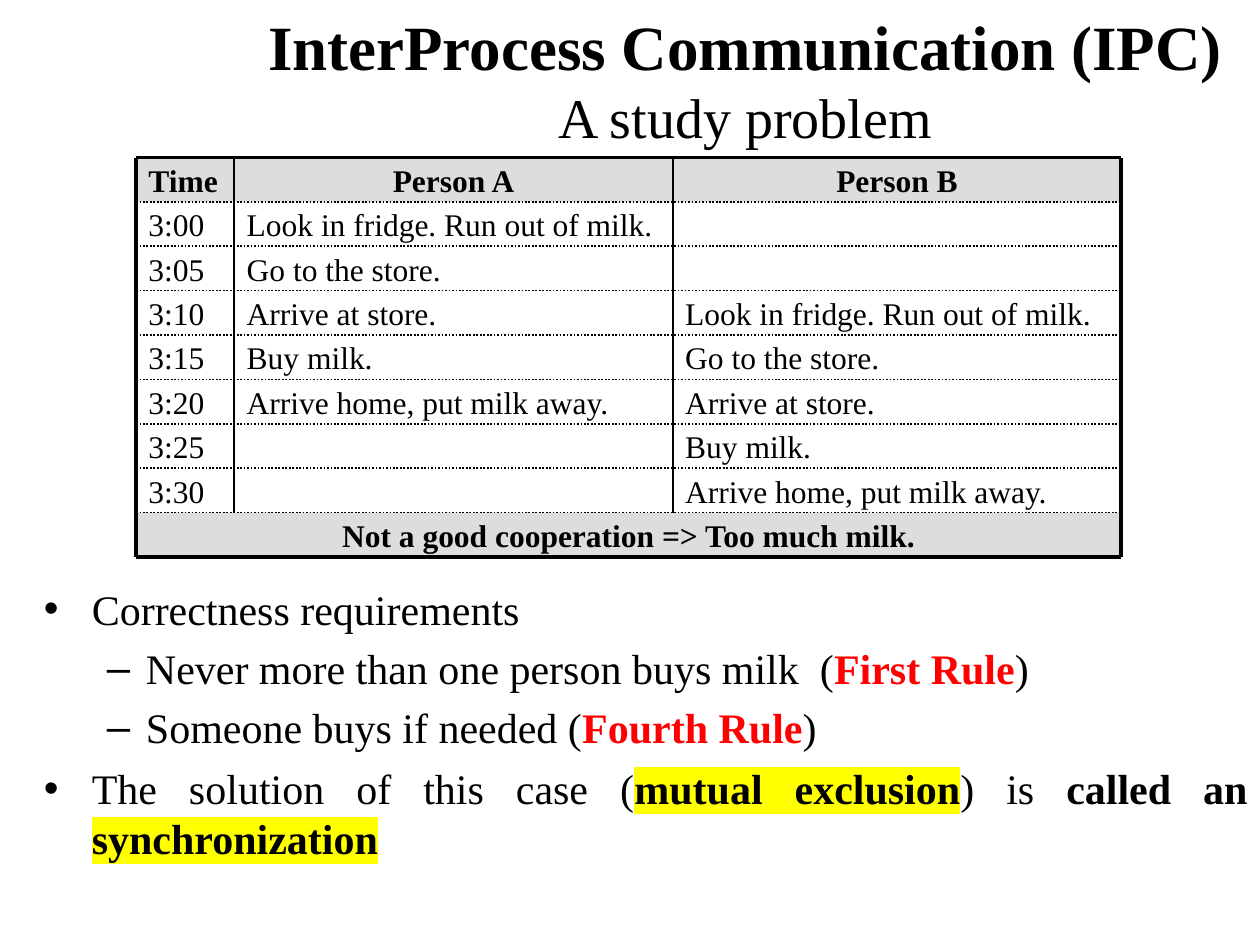
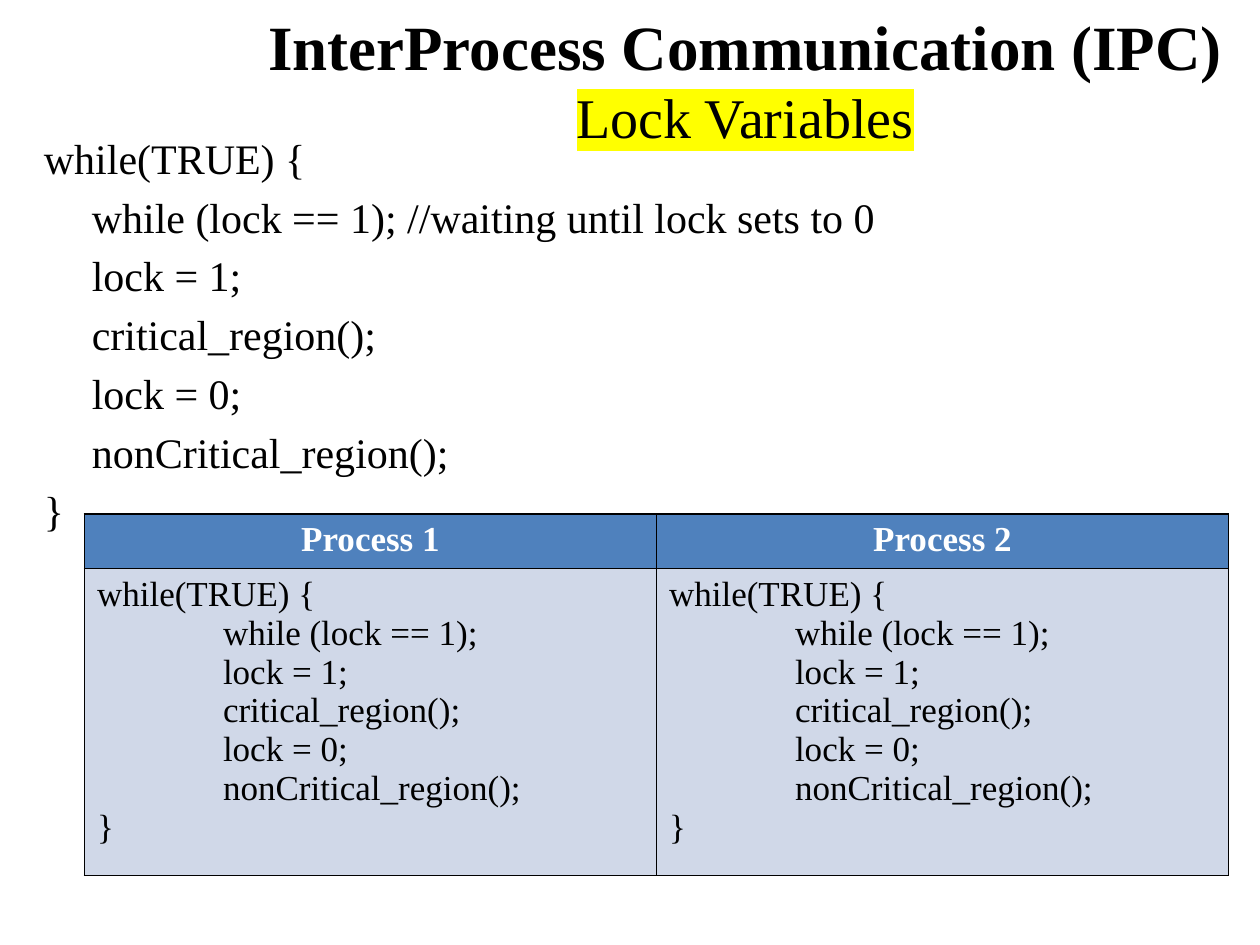
from dataclasses import dataclass
from typing import Optional

import lxml.etree
import pptx
import pptx.dml.color
import pptx.enum.dml
import pptx.enum.shapes
import pptx.enum.text
import pptx.oxml.ns
import pptx.util

Inches = pptx.util.Inches
Pt = pptx.util.Pt
RGBColor = pptx.dml.color.RGBColor
ALIGN = pptx.enum.text.PP_ALIGN
ANCHOR = pptx.enum.text.MSO_ANCHOR
DASH = pptx.enum.dml.MSO_LINE
qn = pptx.oxml.ns.qn

# Shared look
FONT = "Times New Roman"
BLACK = RGBColor(0x00, 0x00, 0x00)
WHITE = RGBColor(0xFF, 0xFF, 0xFF)
RED = RGBColor(0xFF, 0x00, 0x00)
YELLOW = RGBColor(0xFF, 0xFF, 0x00)
GREY = RGBColor(0xDD, 0xDD, 0xDD)
BLUE = RGBColor(0x4F, 0x81, 0xBD)
PALE_BLUE = RGBColor(0xD0, 0xD8, 0xE8)
COURSE_TITLE = "InterProcess Communication (IPC)"


@dataclass(frozen=True)
class Run:
    text: str
    size: float = 24
    bold: bool = False
    color: RGBColor = BLACK
    highlight: Optional[RGBColor] = None
    ends_line: bool = False


@dataclass(frozen=True)
class Paragraph:
    runs: tuple[Run, ...]
    align: ALIGN = ALIGN.LEFT
    left: float = 0
    hanging: float = 0
    space_before: float = 0
    bullet: str = ""


@dataclass(frozen=True)
class Entry:
    text: str
    left: float
    top: float
    width: float
    height: float
    heading: bool = False
    align: ALIGN = ALIGN.LEFT


@dataclass(frozen=True)
class Rule:
    start: tuple[float, float]
    end: tuple[float, float]
    width: float = 1
    dash: DASH = DASH.SOLID


# Text
def add_run(paragraph, run: Run) -> None:
    piece = paragraph.add_run()
    piece.text = run.text
    piece.font.color.rgb = run.color
    formats = {"name": FONT, "size": Pt(run.size), "bold": run.bold}
    for name, value in formats.items():
        setattr(piece.font, name, value)
    if run.highlight is not None:
        highlight = lxml.etree.Element(qn("a:highlight"))
        lxml.etree.SubElement(highlight, qn("a:srgbClr"), val=str(run.highlight))
        piece.font._element.find(qn("a:solidFill")).addnext(highlight)
    if run.ends_line:
        paragraph.add_line_break()


def write_text(frame, paragraphs: list[Paragraph]) -> None:
    for index, content in enumerate(paragraphs):
        paragraph = frame.add_paragraph() if index else frame.paragraphs[0]
        paragraph.alignment = content.align
        paragraph.space_before = Pt(content.space_before)
        properties = paragraph._p.get_or_add_pPr()
        properties.set("marL", str(Inches(content.left)))
        properties.set("indent", str(Inches(-content.hanging)))
        if content.bullet:
            lxml.etree.SubElement(properties, qn("a:buFont"), typeface="Arial")
            lxml.etree.SubElement(properties, qn("a:buChar"), char=content.bullet)
        for run in content.runs:
            add_run(paragraph, run)


def add_text(slide, left: float, top: float, width: float, height: float,
             paragraphs: list[Paragraph], anchor: ANCHOR = ANCHOR.TOP) -> None:
    box = slide.shapes.add_textbox(
        Inches(left), Inches(top), Inches(width), Inches(height))
    for name, value in {"word_wrap": True, "vertical_anchor": anchor}.items():
        setattr(box.text_frame, name, value)
    write_text(box.text_frame, paragraphs)


def add_titled_slide(deck, subtitle: str, highlight: Optional[RGBColor] = None):
    slide = deck.slides.add_slide(deck.slide_layouts[6])
    lines = (Run(COURSE_TITLE, 36, True, ends_line=True),
             Run(subtitle, 32, highlight=highlight))
    add_text(slide, 1.83, 0, 8.17, 1.25,
             [Paragraph(lines, ALIGN.CENTER)], ANCHOR.MIDDLE)
    return slide


def code_lines(size: float, indent: float, space_before: float = 0,
               comment: str = "") -> list[Paragraph]:
    inner = ["while (lock == 1);" + comment, "lock = 1;", "critical_region();",
             "lock = 0;", "nonCritical_region();"]
    lines = [("while(TRUE) {", 0), *((text, indent) for text in inner), ("}", 0)]
    return [Paragraph((Run(text, size),), ALIGN.JUSTIFY, left,
                      space_before=space_before) for text, left in lines]


# Milk schedule
def add_entry(group, entry: Entry) -> None:
    place = [Inches(length) for length in
             (entry.left, entry.top, entry.width, entry.height)]
    if entry.heading:
        box = group.shapes.add_shape(
            pptx.enum.shapes.MSO_SHAPE.RECTANGLE, *place)
        box.shadow.inherit = False
        box.fill.solid()
        box.fill.fore_color.rgb = GREY
        box.line.fill.background()
    else:
        box = group.shapes.add_textbox(*place)
    formats = {"word_wrap": True, "vertical_anchor": ANCHOR.MIDDLE,
               "margin_left": Inches(0.1), "margin_right": Inches(0.1),
               "margin_top": Inches(0.02), "margin_bottom": Inches(0.02)}
    for name, value in formats.items():
        setattr(box.text_frame, name, value)
    write_text(box.text_frame, [
        Paragraph((Run(entry.text, 18, entry.heading),), entry.align)])


def add_rule(group, rule: Rule) -> None:
    line = group.shapes.add_connector(
        pptx.enum.shapes.MSO_CONNECTOR.STRAIGHT,
        *(Inches(length) for length in rule.start + rule.end))
    line.line.color.rgb = BLACK
    for name, value in {"width": Pt(rule.width), "dash_style": rule.dash}.items():
        setattr(line.line, name, value)
    lxml.etree.SubElement(line._element.spPr, qn("a:effectLst"))


def add_milk_schedule(slide) -> None:
    errands = ["Look in fridge. Run out of milk.", "Go to the store.",
               "Arrive at store.", "Buy milk.", "Arrive home, put milk away."]
    times = [f"3:{minute:02}" for minute in range(0, 35, 5)]
    schedule = [("Time", "Person A", "Person B"),
                *zip(times, errands + [""] * 2, [""] * 2 + errands)]
    edges = [1.08, 1.86, 5.34, 8.9]
    left, right = edges[0], edges[-1]
    top, bottom = 1.25, 4.42
    row_count = len(schedule) + 1
    height = (bottom - top) / row_count
    tops = [top + row * height for row in range(row_count + 1)]
    footer = tops[-2]

    group = slide.shapes.add_group_shape()
    for row, texts in enumerate(schedule):
        for column, text in enumerate(texts):
            if text:
                centred = row == 0 and column > 0
                add_entry(group, Entry(
                    text, edges[column], tops[row],
                    edges[column + 1] - edges[column], height, row == 0,
                    ALIGN.CENTER if centred else ALIGN.LEFT))
    add_entry(group, Entry("Not a good cooperation => Too much milk.", left, footer,
                           right - left, height, True, ALIGN.CENTER))

    for y in tops:
        style = (2.25, DASH.SOLID) if y in (tops[0], tops[-1]) else (1, DASH.ROUND_DOT)
        add_rule(group, Rule((left, y), (right, y), *style))
    for x in edges:
        end, width = (bottom, 2.25) if x in (left, right) else (footer, 1)
        add_rule(group, Rule((x, top), (x, end), width))


# Process table
def style_cell(cell, fill: RGBColor) -> None:
    cell.fill.solid()
    cell.fill.fore_color.rgb = fill
    properties = cell._tc.get_or_add_tcPr()
    for position, side in enumerate("LRTB"):
        border = lxml.etree.Element(qn(f"a:ln{side}"), w=str(Pt(1)))
        ink = lxml.etree.SubElement(border, qn("a:solidFill"))
        lxml.etree.SubElement(ink, qn("a:srgbClr"), val=str(BLACK))
        properties.insert(position, border)


def add_process_table(slide) -> None:
    heights = [0.43, 2.43]
    processes = slide.shapes.add_table(
        2, 2, Inches(0.67), Inches(4.08), Inches(9.08), Inches(sum(heights))).table
    for row, height in zip(processes.rows, heights):
        row.height = Inches(height)
    for c in range(2):
        heading = Run(f"Process {c + 1}", 20, True, WHITE)
        contents = [(BLUE, [Paragraph((heading,), ALIGN.CENTER)]),
                    (PALE_BLUE, code_lines(20, 1))]
        for r, (fill, paragraphs) in enumerate(contents):
            style_cell(processes.cell(r, c), fill)
            write_text(processes.cell(r, c).text_frame, paragraphs)


# Slides
def build_study_problem(deck) -> None:
    slide = add_titled_slide(deck, "A study problem")
    point = {"left": 0.38, "hanging": 0.38, "space_before": 6, "bullet": "•"}
    detail = {"left": 0.81, "hanging": 0.31, "space_before": 5, "bullet": "–"}
    rules = [("Never more than one person buys milk  (", "First Rule"),
             ("Someone buys if needed (", "Fourth Rule")]
    solution = (Run("The solution of this case ("),
                Run("mutual exclusion", bold=True, highlight=YELLOW),
                Run(") is "), Run("called an ", bold=True),
                Run("synchronization", bold=True, highlight=YELLOW))
    add_text(slide, 0.25, 4.58, 9.75, 2.92, [
        Paragraph((Run("Correctness requirements"),), **point),
        *(Paragraph((Run(text), Run(rule, bold=True, color=RED), Run(")")), **detail)
          for text, rule in rules),
        Paragraph(solution, ALIGN.JUSTIFY, **point)])
    add_milk_schedule(slide)


def build_lock_variables(deck) -> None:
    slide = add_titled_slide(deck, "Lock Variables", YELLOW)
    add_text(slide, 0.25, 1, 9.75, 3.42,
             code_lines(24, 0.38, 4.8, " //waiting until lock sets to 0"))
    add_process_table(slide)


def main() -> None:
    deck = pptx.Presentation()
    deck.slide_width, deck.slide_height = Inches(10), Inches(7.5)
    build_study_problem(deck)
    build_lock_variables(deck)
    deck.save("out.pptx")


if __name__ == "__main__":
    main()
